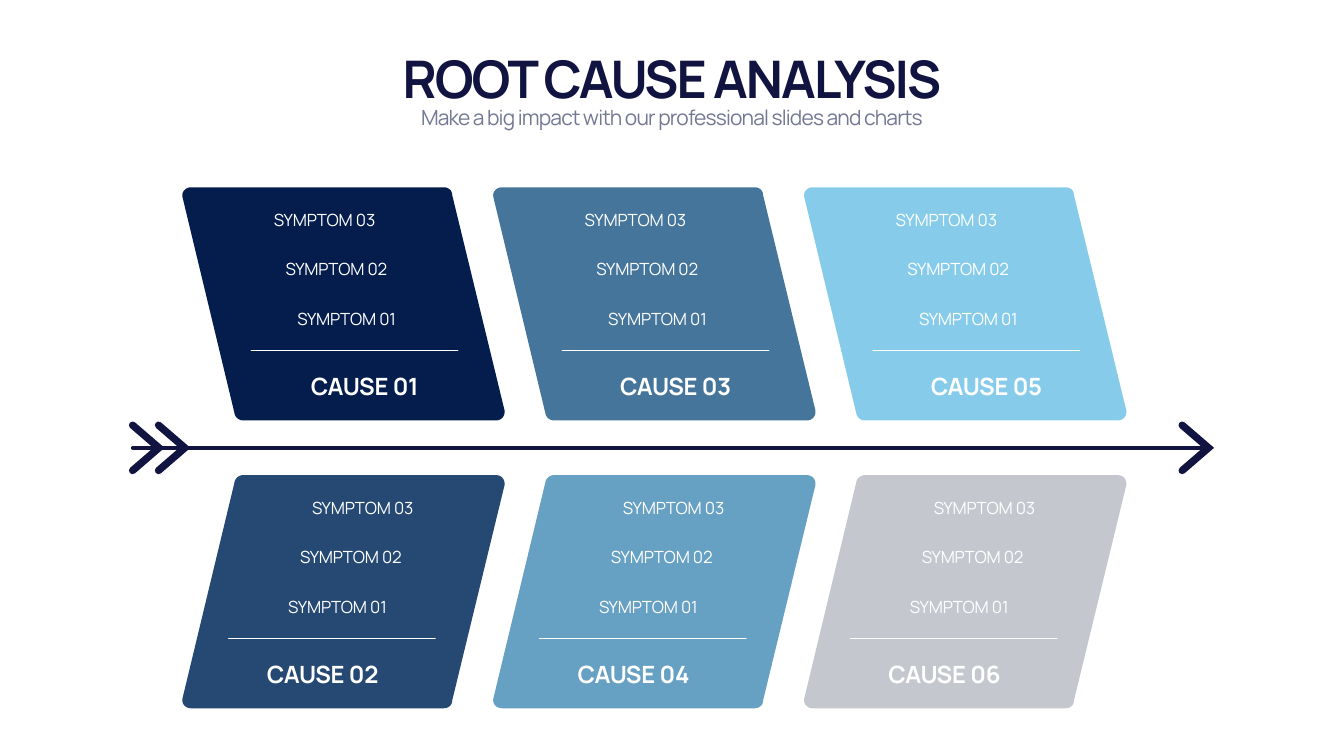
import dataclasses

import pptx
import pptx.dml.color
import pptx.enum.shapes
import pptx.enum.text
import pptx.oxml
import pptx.oxml.ns
import pptx.util

Pt = pptx.util.Pt
Anchor = pptx.enum.text.MSO_ANCHOR


@dataclasses.dataclass(frozen=True)
class Theme:
    font: str = "Manrope"
    navy: str = "111340"
    gray: str = "747993"
    white: str = "FFFFFF"
    panels: tuple = (("041D4C", "45759B", "86CCEA"), ("254973", "66A0C3", "C4C8CE"))
    title_size: int = 74
    subtitle_size: int = 30
    cause_size: int = 34
    symptom_size: int = 24


theme = Theme()
presentation = pptx.Presentation()
presentation.slide_width = Pt(1919.5)
presentation.slide_height = Pt(1080)
slide = presentation.slides.add_slide(presentation.slide_layouts[6])


def add_text(text, left, top, width, height, size, color, spacing, anchor, bold=False, line_height=None):
    shape = slide.shapes.add_textbox(Pt(left), Pt(top), Pt(width), Pt(height))
    frame = shape.text_frame
    frame.word_wrap = True
    frame.auto_size = pptx.enum.text.MSO_AUTO_SIZE.SHAPE_TO_FIT_TEXT
    frame.vertical_anchor = anchor
    frame.margin_left = frame.margin_right = frame.margin_top = frame.margin_bottom = 0
    frame.text = text
    paragraph = frame.paragraphs[0]
    paragraph.alignment = pptx.enum.text.PP_ALIGN.CENTER
    if line_height:
        paragraph.line_spacing = Pt(line_height)
    font = paragraph.runs[0].font
    font.name = theme.font
    font.size = Pt(size)
    font.bold = bold
    font.color.rgb = pptx.dml.color.RGBColor.from_string(color)
    font._element.set("spc", str(round(spacing * 100)))


def add_line(left, right, y, width, color):
    line = slide.shapes.add_connector(
        pptx.enum.shapes.MSO_CONNECTOR.STRAIGHT, Pt(left), Pt(y), Pt(right), Pt(y)
    )
    line.line.width = Pt(width)
    line.line.color.rgb = pptx.dml.color.RGBColor.from_string(color)
    line.line._get_or_add_ln().set("cap", "rnd")
    line._element.spPr.append(pptx.oxml.parse_xml(f"<a:effectLst {pptx.oxml.ns.nsdecls('a')}/>"))


column_pitch = 444
row_pitch = 411.2
panel_left, panel_top, panel_height = 259.2, 267.6, 333
corners = (
    ((13.7, 0), (5.8, 0), (0, 6.5), (1.4, 13.7)),
    ((75.6, 322), (76.3, 328.5), (82.1, 333), (87.8, 333)),
    ((449.3, 333), (457, 333), (462.2, 327), (461.5, 319)),
    ((386.6, 10.8), (386.6, 4.3), (380.9, 0), (375, 0)),
)
curve_steps = 10
panel_outline = []
for corner in corners:
    for step in range(curve_steps + 1):
        t = step / curve_steps
        weights = ((1 - t) ** 3, 3 * t * (1 - t) ** 2, 3 * t**2 * (1 - t), t**3)
        panel_outline.append(
            tuple(sum(weight * point[axis] for weight, point in zip(weights, corner)) for axis in (0, 1))
        )

row_layouts = (
    {"divider": 358.9, "cause": 378.5, "symptom": 321.1, "lean": 16.9},
    {"divider": 326.5, "cause": 318.5, "symptom": 375.6, "lean": -16.9},
)
for column in range(3):
    for row, layout in enumerate(row_layouts):
        x = column * column_pitch
        y = row * row_pitch
        points = [
            (
                Pt(panel_left + x + point_x),
                Pt(panel_top + y + (panel_height - point_y if row else point_y)),
            )
            for point_x, point_y in panel_outline
        ]
        builder = slide.shapes.build_freeform(*points[0])
        builder.add_line_segments(points[1:], close=True)
        panel = builder.convert_to_shape()
        panel.shadow.inherit = False
        panel.fill.solid()
        panel.fill.fore_color.rgb = pptx.dml.color.RGBColor.from_string(theme.panels[row][column])
        panel.line.fill.background()

        divider_left = layout["divider"] + x
        add_line(divider_left, divider_left + 295, 501 + y, 1.8, theme.white)
        add_text(f"CAUSE {column * 2 + row + 1:02}", layout["cause"] + x, 527.2 + y, 285, 48,
                 theme.cause_size, theme.white, -0.3, Anchor.MIDDLE, bold=True)
        for index, symptom in enumerate(("SYMPTOM 03", "SYMPTOM 02", "SYMPTOM 01 ")):
            add_text(symptom, layout["symptom"] + x + index * layout["lean"], 290 + y + index * 70.6,
                     285, 41, theme.symptom_size, theme.white, -0.2, Anchor.MIDDLE, line_height=36)

axis_y = 639.8
add_line(189.5, 1724, axis_y, 5, theme.navy)
for chevron_left in (189.4, 226.4, 1688.4):
    builder = slide.shapes.build_freeform(Pt(chevron_left), Pt(axis_y - 32.4))
    builder.add_line_segments(
        [(Pt(chevron_left + 37.6), Pt(axis_y)), (Pt(chevron_left), Pt(axis_y + 32.4))], close=False
    )
    chevron = builder.convert_to_shape()
    chevron.shadow.inherit = False
    chevron.fill.background()
    chevron.line.width = Pt(10.5)
    chevron.line.color.rgb = pptx.dml.color.RGBColor.from_string(theme.navy)
    outline = chevron.line._get_or_add_ln()
    outline.set("cap", "rnd")
    outline.append(pptx.oxml.parse_xml(f'<a:miter {pptx.oxml.ns.nsdecls("a")} lim="800000"/>'))

add_text("ROOT CAUSE ANALYSIS", 119.5, 59, 1680, 97.2,
         theme.title_size, theme.navy, -2.9, Anchor.BOTTOM, bold=True)
add_text("Make a big impact with our professional slides and charts", 119.5, 149, 1680, 44,
         theme.subtitle_size, theme.gray, -1.2, Anchor.TOP)

presentation.save("out.pptx")
